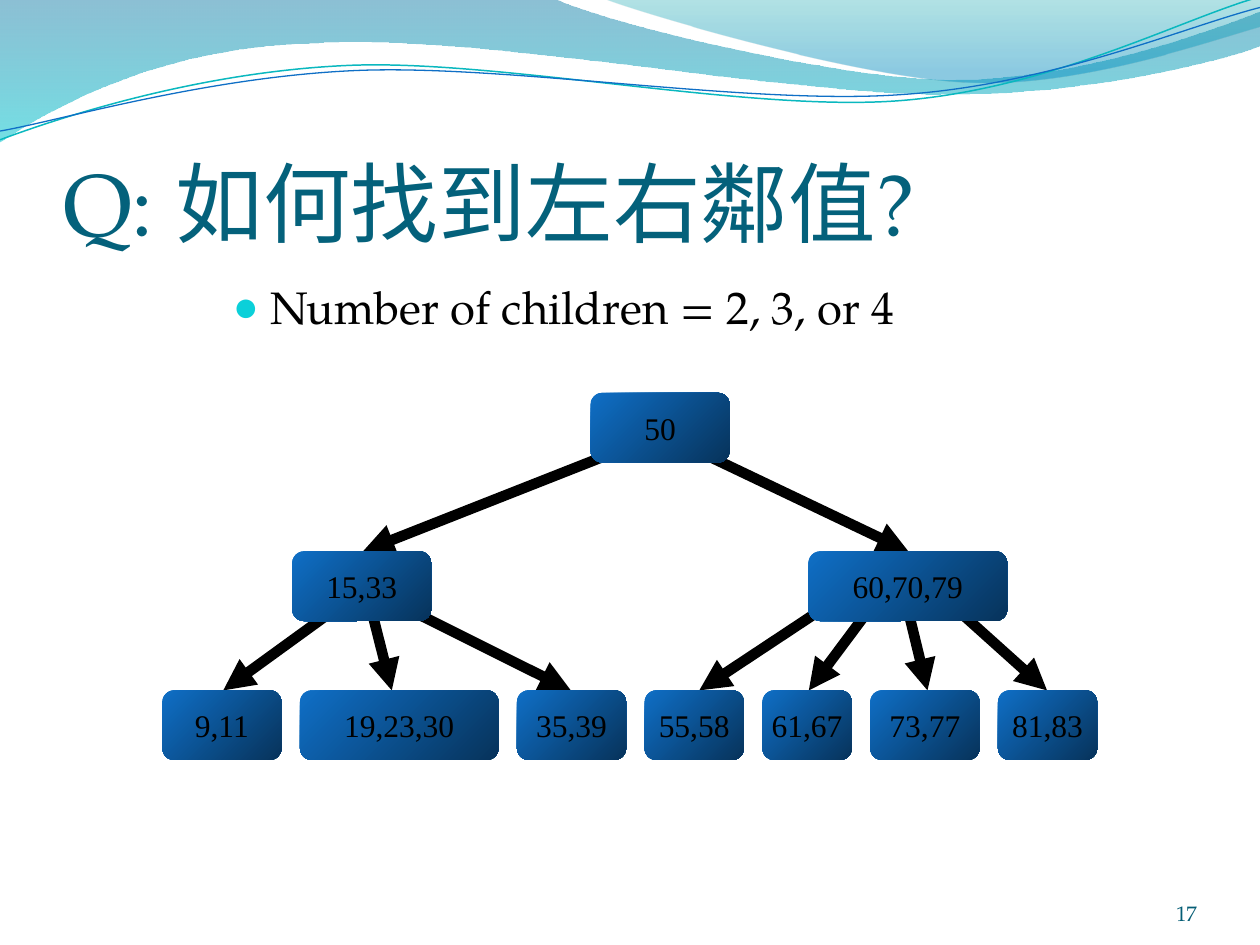
import math
from dataclasses import dataclass
from itertools import accumulate

from lxml import etree
from pptx import Presentation, util as u
from pptx.dml.color import RGBColor
from pptx.enum import shapes, text
from pptx.oxml import ns


@dataclass(frozen=True)
class Theme:
    heading: str = "TeX Gyre Pagella"
    label: str = "Times New Roman"
    title_color: str = "04617B"
    number_color: str = "045D75"
    ink: str = "000000"
    bullet: str = "0BD0D9"
    node_stops: tuple = ((0, "0F6FC6", 100), (100, "07335B", 100))
    wave_stops: tuple = ((0, "0074A1", 45), (100, "00C6CF", 55))
    crest_stops: tuple = ((0, "00A1A9", 30), (80, "008BBF", 45))
    teal_line: str = "0AB8BF"
    blue_line: str = "0F6FC6"
    title_size: float = 50
    body_size: float = 26
    label_size: float = 18
    number_size: float = 12
    arrow_width: float = 6


@dataclass(frozen=True)
class Node:
    label: str
    x: float
    y: float
    w: float


@dataclass(frozen=True)
class Arrow:
    x1: float
    y1: float
    x2: float
    y2: float


@dataclass(frozen=True)
class Wave:
    start: tuple
    segments: tuple
    stops: tuple = ()
    color: str = ""
    width: float = 0
    tilt: float = 0


T = Theme()
NODE_H = 39.8
ROOT_Y, MID_Y, LEAF_Y = 224.5, 315.1, 394.5
LEAF_X, LEAF_GAP = 92.8, 10.6
LEAVES = (("9,11", 68), ("19,23,30", 113.4), ("35,39", 62.4), ("55,58", 56.7),
          ("61,67", 51), ("73,77", 62.4), ("81,83", 56.7))
LEAF_LEFTS = accumulate((w + LEAF_GAP for _, w in LEAVES), initial=LEAF_X)

NODES = [Node(label, x, LEAF_Y, w) for (label, w), x in zip(LEAVES, LEAF_LEFTS)] + [
    Node("15,33", 167, MID_Y, 79.4),
    Node("60,70,79", 462, MID_Y, 113.6),
    Node("50", 337.5, ROOT_Y, 79.4),
]
LEAF_LINKS = ((190, 127.6), (212.4, 223.9), (235.4, 326.2), (468, 399.6),
              (496, 462.2), (519, 530))
ARROWS = [Arrow(x1, 349.2, x2, LEAF_Y) for x1, x2 in LEAF_LINKS] + [
    Arrow(541.4, 343.4, 598.3, LEAF_Y),
    Arrow(365.8, 252.7, 207.4, MID_Y),
    Arrow(388.1, 252.7, 519.1, MID_Y),
]
WAVES = [
    Wave((0, 0), (
        ((316.8, -0.7),),
        ((342.7, 12.2), (478.1, 45.4), (545.8, 45.4)),
        ((614.2, 45.4), (689.8, 18.7), (720, 6.5)),
        ((720.7, 25.9),),
        ((707.8, 31.7), (626.4, 54.7), (537.1, 54)),
        ((447.8, 54), (275, 20.2), (185, 24.5)),
        ((92.9, 25.9), (33.1, 59.8), (-0.7, 81.4)),
    ), T.wave_stops),
    Wave((344.9, -0.7), (
        ((366.5, 7.9), (491, 44.6), (553.7, 46.8)),
        ((616.3, 49.7), (691.9, 23), (720, 15.1)),
        ((720, 0),),
    ), T.crest_stops),
    Wave((0, 79.9), (
        ((34.6, 67), (113.8, 41), (199.4, 37.4)),
        ((284.4, 33.8), (427, 64.1), (513.4, 57.6)),
        ((599.8, 51.1), (675.4, 10.8), (718.6, -1.4)),
    ), color=T.teal_line, width=0.85, tilt=-2.7),
    Wave((0, 74.9), (
        ((33.8, 69.1), (118.1, 43.9), (203.8, 40.3)),
        ((290.2, 36.7), (429.8, 60.5), (516.2, 54)),
        ((601.9, 48.2), (677.5, 15.1), (720, 4.3)),
    ), color=T.blue_line, width=0.75, tilt=-2.7),
]


def apply(target, values: dict) -> None:
    for name, value in values.items():
        setattr(target, name, value)


def fill_gradient(sp, stops: tuple, angle: int) -> None:
    sp.fill.background()
    grad = etree.Element(ns.qn("a:gradFill"), rotWithShape="1")
    gs_list = etree.SubElement(grad, ns.qn("a:gsLst"))
    for pos, color, opacity in stops:
        gs = etree.SubElement(gs_list, ns.qn("a:gs"), pos=str(pos * 1000))
        clr = etree.SubElement(gs, ns.qn("a:srgbClr"), val=color)
        if opacity < 100:
            etree.SubElement(clr, ns.qn("a:alpha"), val=str(opacity * 1000))
    etree.SubElement(grad, ns.qn("a:lin"), ang=str(angle * 60000), scaled="0")
    props = sp.element.spPr
    props.replace(props.find(ns.qn("a:noFill")), grad)


def level(point: tuple, tilt: float) -> tuple:
    cx, cy, a = 360, 41.8, math.radians(-tilt)
    dx, dy = point[0] - cx, point[1] - cy
    x = cx + dx * math.cos(a) - dy * math.sin(a)
    y = cy + dx * math.sin(a) + dy * math.cos(a)
    return int(u.Pt(x)), int(u.Pt(y))


def draw_wave(s, wave: Wave) -> None:
    builder = s.shapes.build_freeform(*level(wave.start, wave.tilt))
    points = [level(pt, wave.tilt) for segment in wave.segments for pt in segment]
    builder.add_line_segments(points, close=bool(wave.stops))
    sp = builder.convert_to_shape()
    lines = iter(list(sp.element.iter(ns.qn("a:lnTo"))))
    for segment in wave.segments:
        steps = [next(lines) for _ in segment]
        if len(steps) == 3:
            bezier = etree.Element(ns.qn("a:cubicBezTo"))
            steps[0].addprevious(bezier)
            for step in steps:
                bezier.append(step[0])
                step.getparent().remove(step)
    sp.rotation = wave.tilt
    sp.shadow.inherit = False
    if wave.stops:
        fill_gradient(sp, wave.stops, 90)
        sp.line.fill.background()
    else:
        sp.fill.background()
        sp.line.color.rgb = RGBColor.from_string(wave.color)
        sp.line.width = u.Pt(wave.width)


def write(sp, words: str, font: str, size: float, color: str, frame: dict, para: dict):
    tf = sp.text_frame
    apply(tf, frame)
    p = tf.paragraphs[0]
    apply(p, para)
    r = p.add_run()
    r.text = words
    apply(r.font, {"name": font, "size": u.Pt(size)})
    r.font.color.rgb = RGBColor.from_string(color)
    return p


def draw_text(s, box: tuple, *style, frame: dict, para: dict):
    sp = s.shapes.add_textbox(*map(u.Pt, box))
    return write(sp, *style, frame={"word_wrap": True, **frame}, para=para)


def add_bullet(p) -> None:
    props = p._p.get_or_add_pPr()
    for name, value in {"marL": 21.6, "indent": -21.6}.items():
        props.set(name, str(int(u.Pt(value))))
    clr = etree.SubElement(props, ns.qn("a:buClr"))
    etree.SubElement(clr, ns.qn("a:srgbClr"), val=T.bullet)
    etree.SubElement(props, ns.qn("a:buSzPct"), val="95000")
    etree.SubElement(props, ns.qn("a:buFont"), typeface=T.label)
    etree.SubElement(props, ns.qn("a:buChar"), char="●")


def draw_arrow(s, a: Arrow) -> None:
    c = s.shapes.add_connector(shapes.MSO_CONNECTOR.STRAIGHT,
                               *map(u.Pt, (a.x1, a.y1, a.x2, a.y2)))
    c.line.color.rgb = RGBColor.from_string(T.ink)
    c.line.width = u.Pt(T.arrow_width)
    etree.SubElement(c.line._get_or_add_ln(), ns.qn("a:tailEnd"), type="triangle")
    etree.SubElement(c.element.spPr, ns.qn("a:effectLst"))


def draw_node(s, n: Node) -> None:
    sp = s.shapes.add_shape(shapes.MSO_SHAPE.ROUNDED_RECTANGLE,
                            *map(u.Pt, (n.x, n.y, n.w, NODE_H)))
    sp.shadow.inherit = False
    fill_gradient(sp, T.node_stops, 45)
    sp.line.fill.background()
    write(sp, n.label, T.label, T.label_size, T.ink,
          {"word_wrap": False, "vertical_anchor": text.MSO_ANCHOR.MIDDLE},
          {"alignment": text.PP_ALIGN.CENTER})


prs = Presentation()
apply(prs, {"slide_width": u.Pt(720), "slide_height": u.Pt(540)})
s = prs.slides.add_slide(prs.slide_layouts[6])
for wave in WAVES:
    draw_wave(s, wave)
flush = {"margin_left": 0, "margin_right": 0, "margin_top": 0, "margin_bottom": 0,
         "vertical_anchor": text.MSO_ANCHOR.BOTTOM}
draw_text(s, (624.2, 500.4, 59.8, 28.8), "17", T.heading, T.number_size, T.number_color,
          frame=flush, para={"alignment": text.PP_ALIGN.RIGHT})
draw_text(s, (36, 55.4, 653.8, 90), "Q: 如何找到左右鄰值?", T.heading, T.title_size,
          T.title_color, frame={**flush, "margin_top": u.Pt(3.6)}, para={})
add_bullet(draw_text(s, (126, 156.2, 594, 324), "Number of children = 2, 3, or 4", T.heading,
                     T.body_size, T.ink, frame={}, para={"space_before": u.Pt(5.2)}))
for arrow in ARROWS:
    draw_arrow(s, arrow)
for node in NODES:
    draw_node(s, node)
prs.save("out.pptx")
